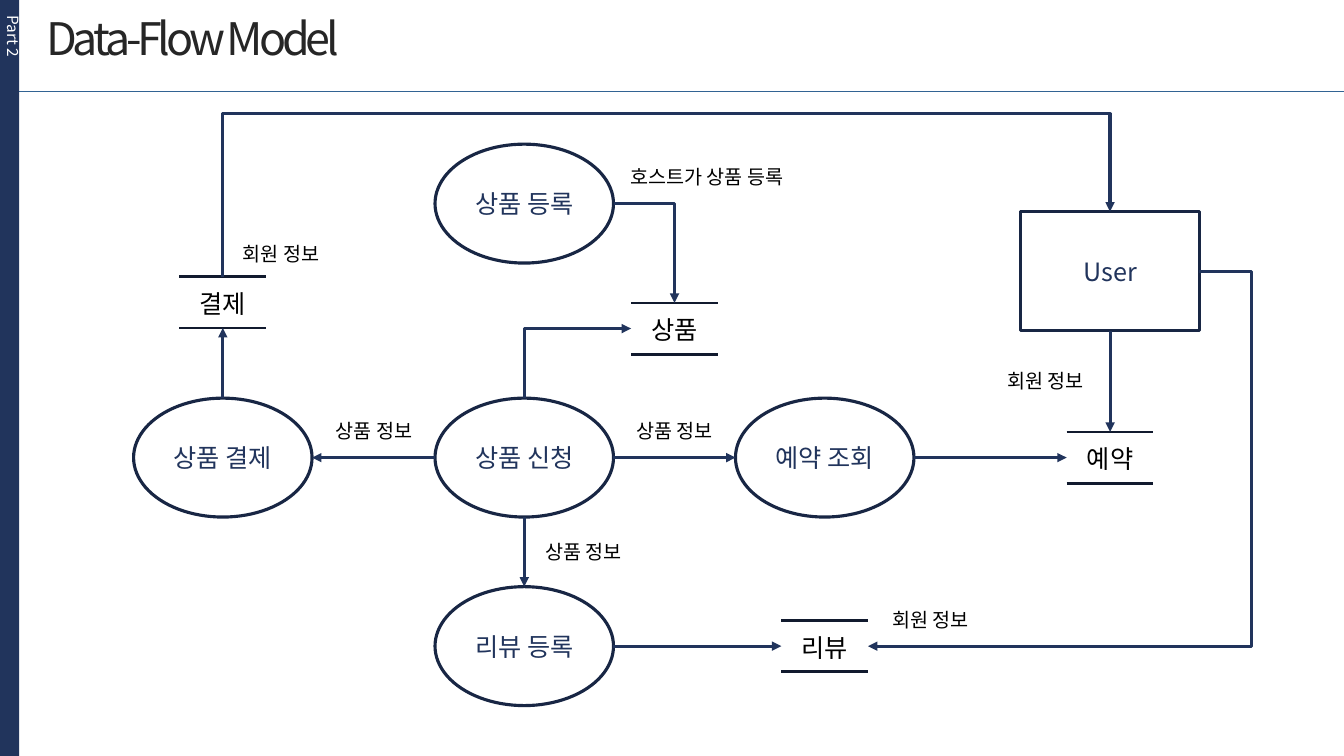
import pptx
import pptx.chart.data
import pptx.dml.color
import pptx.enum.shapes
import pptx.enum.text
import pptx.oxml
import pptx.oxml.ns
import pptx.util
from lxml import etree

Inches, Pt = pptx.util.Inches, pptx.util.Pt
SHAPE = pptx.enum.shapes.MSO_SHAPE
CONNECTOR = pptx.enum.shapes.MSO_CONNECTOR
ALIGN = pptx.enum.text.PP_ALIGN
ANCHOR = pptx.enum.text.MSO_ANCHOR
FIT = pptx.enum.text.MSO_AUTO_SIZE
qn = pptx.oxml.ns.qn

WIDTH, HEIGHT = 13.33, 7.5
BAR = 0.19
FONT = "Noto Sans CJK KR"
COLORS = {"navy": "21345C", "outline": "182644", "store": "111A2E", "rule": "326393",
          "title": "262626", "black": "000000", "white": "FFFFFF"}
STROKE = 2.25
COLUMNS = [2.21, 5.2, 8.18, 11.01]
ROWS = {"register": 2.02, "user": 2.69, "payment": 3.0, "product": 3.26,
        "main": 4.54, "review": 6.41}
NODE = (1.77, 1.18)
STORE = (0.86, 0.51)
# name: (text, preset, column, row)
NODES = {
    "pay": ("상품 결제", SHAPE.OVAL, 0, "main"),
    "apply": ("상품 신청", SHAPE.OVAL, 1, "main"),
    "lookup": ("예약 조회", SHAPE.OVAL, 2, "main"),
    "register": ("상품 등록", SHAPE.OVAL, 1, "register"),
    "write review": ("리뷰 등록", SHAPE.OVAL, 1, "review"),
    "user": ("User", SHAPE.RECTANGLE, 3, "user"),
}
# name: (text, column, row)
STORES = {
    "product": ("상품", 1.5, "product"),
    "review": ("리뷰", 2, "review"),
    "booking": ("예약", 3, "main"),
    "payment": ("결제", 0, "payment"),
}
SIDES = {"top": (0, -0.5), "left": (-0.5, 0), "bottom": (0, 0.5), "right": (0.5, 0)}
STRAIGHT_FLOWS = [
    ("apply", "bottom", "write review", "top"),
    ("apply", "left", "pay", "right"),
    ("apply", "right", "lookup", "left"),
    ("pay", "top", "payment", "bottom"),
    ("user", "bottom", "booking", "top"),
    ("lookup", "right", "booking", "left"),
    ("write review", "right", "review", "left"),
]
# The last value is where the middle leg runs, if the flow has two bends.
BENT_FLOWS = [
    ("register", "right", "product", "top", None),
    ("apply", "top", "product", "left", None),
    ("payment", "top", "user", "top", 1.13),
    ("user", "right", "review", "right", 12.41),
]
LABEL = (1.02, 0.34)
# text, left, top, width
LABELS = [
    ("회원 정보", 2.28, 2.35, LABEL[0]),
    ("호스트가 상품 등록", 6.09, 1.59, 1.84),
    ("상품 정보", 3.2, 4.11, LABEL[0]),
    ("상품 정보", 6.18, 4.11, LABEL[0]),
    ("회원 정보", 9.86, 3.61, LABEL[0]),
    ("상품 정보", 5.28, 5.31, LABEL[0]),
    ("회원 정보", 8.72, 5.98, LABEL[0]),
]


def rgb(color):
    return pptx.dml.color.RGBColor.from_string(COLORS[color])


def write(frame, text, size, color, align=ALIGN.CENTER, **frame_format):
    for name, value in frame_format.items():
        setattr(frame, name, value)
    paragraph = frame.paragraphs[0]
    paragraph.alignment = align
    run = paragraph.add_run()
    run.text = text
    for name, value in {"size": Pt(size), "name": FONT, "bold": False}.items():
        setattr(run.font, name, value)
    run.font.color.rgb = rgb(color)
    etree.SubElement(run.font._element, qn("a:ea"), typeface=FONT)
    return run


def center(column, row):
    """Centre of a grid place; a half column lies midway between two columns."""
    low, high = COLUMNS[int(column)], COLUMNS[int(column + 0.5)]
    return (low + high) / 2, ROWS[row]


def box(column, row, size):
    x, y = center(column, row)
    return [Inches(v) for v in (x - size[0] / 2, y - size[1] / 2, *size)]


def port(name, side):
    """Middle of one side of a node or store, in inches."""
    size = NODE if name in NODES else STORE
    x, y = center(*(NODES.get(name) or STORES[name])[-2:])
    dx, dy = SIDES[side]
    return x + dx * size[0], y + dy * size[1]


def add_line(slide, start, end, color="navy", width=STROKE, kind=CONNECTOR.STRAIGHT, arrow=True):
    line = slide.shapes.add_connector(kind, *[Inches(v) for v in (*start, *end)])
    line.line.color.rgb = rgb(color)
    line.line.width = Pt(width)
    if arrow:
        etree.SubElement(line.line._get_or_add_ln(), qn("a:tailEnd"), type="triangle")
    etree.SubElement(line._element.spPr, qn("a:effectLst"))
    return line


def add_bent_flow(slide, source, source_side, target, target_side, leg):
    start, end = port(source, source_side), port(target, target_side)
    upright = source_side in ("top", "bottom")
    axis = 1 if upright else 0
    share = leg and (leg - start[axis]) / (end[axis] - start[axis])
    if upright:  # turn the ends back, so that a quarter turn brings them into place
        mid = [(a + b) / 2 for a, b in zip(start, end)]
        start, end = [(mid[0] + y - mid[1], mid[1] - x + mid[0]) for x, y in (start, end)]
    flow = add_line(slide, start, end, kind=CONNECTOR.ELBOW)
    properties = flow._element.spPr
    if upright:
        properties.find(qn("a:xfrm")).set("rot", str(90 * 60000))
    geometry = properties.find(qn("a:prstGeom"))
    if leg is None:
        geometry.set("prst", "bentConnector2")
    else:
        guides = geometry.find(qn("a:avLst"))
        etree.SubElement(guides, qn("a:gd"), name="adj1", fmla=f"val {round(share * 100000)}")


def add_node(slide, text, preset, column, row):
    node = slide.shapes.add_shape(preset, *box(column, row, NODE))
    node.shadow.inherit = False
    node.fill.background()
    node.line.color.rgb = rgb("outline")
    node.line.width = Pt(STROKE)
    write(node.text_frame, text, 18, "navy", vertical_anchor=ANCHOR.MIDDLE)
    return node


def add_store(slide, text, column, row):
    """A data store: one cell with a line above and below."""
    table = slide.shapes.add_table(1, 1, *box(column, row, STORE)).table
    table.first_row = table.horz_banding = False
    cell = table.cell(0, 0)
    write(cell.text_frame, text, 18, "black")
    cell.vertical_anchor = ANCHOR.MIDDLE
    borders = cell._tc.get_or_add_tcPr()
    for side in "LRTB":
        border = etree.SubElement(borders, qn(f"a:ln{side}"), w=str(Pt(STROKE)))
        if side in "LR":
            etree.SubElement(border, qn("a:noFill"))
        else:
            fill = etree.SubElement(border, qn("a:solidFill"))
            etree.SubElement(fill, qn("a:srgbClr"), val=COLORS["store"])
    cell.fill.background()


def add_text(slide, place, *content, **frame_format):
    textbox = slide.shapes.add_textbox(*[Inches(v) for v in place])
    write(textbox.text_frame, *content, auto_size=FIT.SHAPE_TO_FIT_TEXT, **frame_format)
    return textbox


def add_header(slide):
    add_line(slide, (BAR, 0.91), (WIDTH, 0.91), "rule", 0.5, arrow=False)
    bar = slide.shapes.add_shape(SHAPE.RECTANGLE, 0, 0, Inches(BAR), Inches(HEIGHT))
    bar.shadow.inherit = False
    bar.fill.solid()
    bar.fill.fore_color.rgb = rgb("navy")
    bar.line.fill.background()
    title = slide.shapes.title
    for name, value in {"left": 0.36, "top": 0.12, "width": 3.13, "height": 0.64}.items():
        setattr(title, name, Inches(value))
    run = write(title.text_frame, "Data-Flow Model", 32, "title", ALIGN.LEFT, word_wrap=False,
                auto_size=FIT.SHAPE_TO_FIT_TEXT, vertical_anchor=ANCHOR.TOP)
    run.font._element.set("spc", "-300")
    title.text_frame.paragraphs[0].line_spacing = 0.9
    part = add_text(slide, (-0.11, 0.06, 0.39, 2.02), "Part 2", 11, "white", ALIGN.LEFT,
                    word_wrap=True)
    part.text_frame._txBody.bodyPr.set("vert", "eaVert")


def main():
    deck = pptx.Presentation()
    deck.slide_width, deck.slide_height = Inches(WIDTH), Inches(HEIGHT)
    slide = deck.slides.add_slide(deck.slide_layouts[5])
    add_header(slide)
    nodes = {name: add_node(slide, *node) for name, node in NODES.items()}
    for store in STORES.values():
        add_store(slide, *store)
    for source, source_side, target, target_side in STRAIGHT_FLOWS:
        flow = add_line(slide, port(source, source_side), port(target, target_side))
        if source == "user":
            flow.begin_connect(nodes[source], list(SIDES).index(source_side))
    for flow in BENT_FLOWS:
        add_bent_flow(slide, *flow)
    for text, left, top, width in LABELS:
        add_text(slide, (left, top, width, LABEL[1]), text, 14, "black", word_wrap=False)
    deck.save("out.pptx")


if __name__ == "__main__":
    main()
